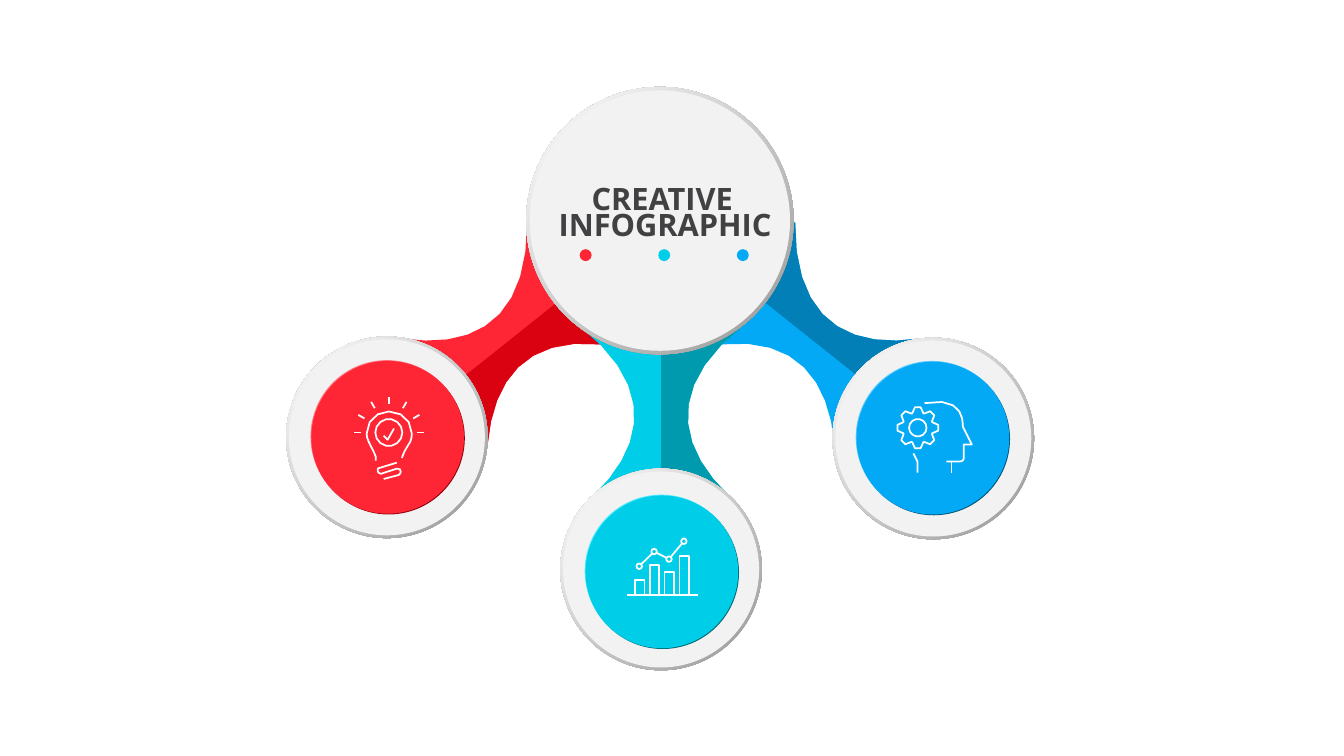
from dataclasses import dataclass
from itertools import pairwise
from math import cos, dist, radians, sin

from pptx import Presentation
from pptx.dml.color import RGBColor
from pptx.enum.shapes import MSO_SHAPE as Preset
from pptx.enum.text import MSO_AUTO_SIZE as AutoSize, PP_ALIGN as Align
from pptx.util import Cm, Pt


@dataclass(frozen=True)
class Palette:
    main: str
    shade: str
    rim_dark: str
    rim_light: str


@dataclass(frozen=True)
class Theme:
    red: Palette = Palette("FE2635", "DA0110", "91010B", "FE7D86")
    cyan: Palette = Palette("00CEE8", "009AAE", "006774", "58ECFF")
    blue: Palette = Palette("03A9F4", "027FB7", "01557A", "63CDFD")
    plate: str = "F2F2F2"
    bevel_dark: str = "979797"
    white: str = "FFFFFF"
    text: str = "414042"
    font: str = "Open Sans"
    title_size: Pt = Pt(22)
    icon_line: Pt = Pt(1.25)


THEME = Theme()
AXIS = 16.66


def color(value):
    return RGBColor.from_string(value)


def arc(center, radius, start=0, end=360, steps=14):
    angles = [radians(start + (end - start) * i / steps) for i in range(steps + 1)]
    return [(center[0] + radius * cos(a), center[1] + radius * sin(a)) for a in angles]


def trace(*parts, steps=3):
    points = []
    for part in parts:
        if len(part) == 2:
            points.append(part)
            continue
        x0, y0 = points[-1]
        x1, y1, x2, y2, x3, y3 = part
        for i in range(1, steps + 1):
            t = i / steps
            a, b, c, d = (1 - t) ** 3, 3 * t * (1 - t) ** 2, 3 * t * t * (1 - t), t ** 3
            points.append((a * x0 + b * x1 + c * x2 + d * x3,
                           a * y0 + b * y1 + c * y2 + d * y3))
    return points


def mirror(points):
    return [(2 * AXIS - x, y) for x, y in points]


def freeform(slide, contours, closed, origin=(0, 0)):
    builder = None
    for contour in contours:
        first, *rest = [(Cm(origin[0] + x), Cm(origin[1] + y)) for x, y in contour]
        if builder is None:
            builder = slide.shapes.build_freeform(*first)
        else:
            builder.move_to(*first)
        builder.add_line_segments(rest, close=closed)
    shape = builder.convert_to_shape()
    shape.shadow.inherit = False
    return shape


def add_area(slide, points, fill):
    shape = freeform(slide, [points], True)
    shape.fill.solid()
    shape.fill.fore_color.rgb = color(fill)
    shape.line.fill.background()


def add_icon(slide, origin, contours):
    shape = freeform(slide, contours, False, origin)
    shape.fill.background()
    shape.line.color.rgb = color(THEME.white)
    shape.line.width = THEME.icon_line


def add_circle(slide, center, diameter, fill=None):
    left, top = (Cm(value - diameter / 2) for value in center)
    shape = slide.shapes.add_shape(Preset.OVAL, left, top, Cm(diameter), Cm(diameter))
    shape.shadow.inherit = False
    shape.line.fill.background()
    if fill:
        shape.fill.solid()
        shape.fill.fore_color.rgb = color(fill)
    else:
        shape.fill.gradient()
        shape.fill.gradient_angle = 135
        for stop, value, position in zip(shape.fill.gradient_stops,
                                         (THEME.bevel_dark, THEME.white), (0, 1)):
            stop.color.rgb = color(value)
            stop.position = position


def add_plate(slide, center, diameter, rim):
    add_circle(slide, center, diameter)
    add_circle(slide, center, diameter - 2 * rim, THEME.plate)


def add_arm(slide, light_half, dark_half, palette):
    add_area(slide, light_half + dark_half, palette.main)
    add_area(slide, dark_half, palette.shade)


def add_disc(slide, center, palette):
    x, y = center
    for shift, fill in ((0.02, palette.rim_dark), (-0.02, palette.rim_light),
                        (0, palette.main)):
        add_circle(slide, (x + shift, y + shift), 3.85, fill)


def add_title_line(slide, text, center_x, top, width):
    box = slide.shapes.add_textbox(Cm(center_x - width / 2), Cm(top), Cm(width), Cm(0.94))
    frame = box.text_frame
    frame.margin_left = frame.margin_right = frame.margin_top = frame.margin_bottom = 0
    frame.word_wrap = False
    frame.auto_size = AutoSize.SHAPE_TO_FIT_TEXT
    paragraph = frame.paragraphs[0]
    paragraph.text = text
    paragraph.alignment = Align.CENTER
    font = paragraph.font
    font.name, font.size, font.bold = THEME.font, THEME.title_size, True
    font.color.rgb = color(THEME.text)


def bulb_icon():
    glass = trace((-0.33, 0.71), (-0.3, 0.61, -0.36, 0.53, -0.46, 0.33),
                  (-0.51, 0.23, -0.56, 0.13, -0.56, 0.03),
                  (-0.56, -0.3, -0.3, -0.53, 0, -0.53),
                  (0.33, -0.53, 0.58, -0.3, 0.58, 0.03),
                  (0.58, 0.13, 0.56, 0.23, 0.48, 0.33),
                  (0.38, 0.48, 0.36, 0.56, 0.33, 0.64))
    base = trace((0.2, 0.76), (-0.23, 0.89), (-0.28, 0.89, -0.28, 0.91, -0.28, 0.97),
                 (-0.28, 0.99, -0.25, 1.04, -0.2, 1.04), (0.2, 0.91),
                 (0.28, 0.9, 0.3, 0.94, 0.3, 0.99),
                 (0.3, 1.02, 0.28, 1.04, 0.25, 1.07), (-0.13, 1.17), steps=2)
    check = [(-0.13, 0.08), (-0.03, 0.18), (0.13, -0.1)]
    rays = zip(arc((0, 0), 0.71, 180, 360, 6), arc((0, 0), 0.89, 180, 360, 6))
    return [glass, base, check, arc((0, 0), 0.34), *rays]


def head_icon():
    face = trace((0.17, -0.62), (1.23, -0.83, 1.13, -0.04, 1.13, -0.04), (1.36, 0.42),
                 (1.16, 0.42), (1.16, 0.75), (1.16, 0.8, 1.13, 0.85, 1.05, 0.85),
                 (0.72, 0.85), steps=6)
    throat = [(0.85, 0.85), (0.85, 1.13)]
    nape = [(-0.01, 1.13), (-0.01, 0.85), (-0.11, 0.65)]
    tooth = ((-21, 0.39), (-8, 0.52), (8, 0.52), (21, 0.39))
    gear = [(radius * cos(radians(turn + angle)), radius * sin(radians(turn + angle)))
            for turn in range(0, 360, 45) for angle, radius in tooth]
    return [face, throat, nape, gear + gear[:1], arc((0, 0), 0.22)]


def chart_icon():
    pitch, bar_width, dot_radius = 0.375, 0.24, 0.07
    contours = [[(0, 0), (1.78, 0)]]
    for i, height in enumerate((0.38, 0.76, 0.58, 0.97)):
        left = 0.2 + i * pitch
        right = left + bar_width
        contours.append([(left, 0), (left, -height), (right, -height), (right, 0)])
    dots = [(0.31 + i * pitch, -y) for i, y in enumerate((0.72, 1.09, 0.9, 1.35))]
    contours += [arc(dot, dot_radius, steps=8) for dot in dots]
    for (x1, y1), (x2, y2) in pairwise(dots):
        trim = dot_radius / dist((x1, y1), (x2, y2))
        dx, dy = (x2 - x1) * trim, (y2 - y1) * trim
        contours.append([(x1 + dx, y1 + dy), (x2 - dx, y2 - dy)])
    return contours


def main():
    presentation = Presentation()
    presentation.slide_width, presentation.slide_height = Cm(33.87), Cm(19.05)
    slide = presentation.slides.add_slide(presentation.slide_layouts[6])

    upper = trace((14.58, 7.19), (13.28, 5.59), (13.31, 8.03, 11.99, 8.81, 10.13, 8.53),
                  (11.2, 9.88), steps=9)
    lower = trace((11.2, 9.88), (12.29, 11.2), (12.45, 9.37, 13.46, 8.23, 15.88, 8.81),
                  (14.58, 7.19), steps=9)
    stem = trace((AXIS, 8.2), (14.58, 8.2), (16.51, 9.7, 16.28, 11.23, 14.94, 12.5),
                 (AXIS, 12.5), steps=9)
    add_arm(slide, mirror(lower), mirror(upper), THEME.blue)
    add_arm(slide, upper, lower, THEME.red)
    add_arm(slide, stem, mirror(stem)[::-1], THEME.cyan)

    add_plate(slide, (16.63, 5.56), 6.74, 0.09)
    add_title_line(slide, "CREATIVE", 16.69, 4.52, 3.61)
    add_title_line(slide, "INFOGRAPHIC", 16.76, 5.18, 5.44)
    for i, palette in enumerate((THEME.red, THEME.cyan, THEME.blue)):
        add_circle(slide, (14.76 + 1.98 * i, 6.43), 0.3, palette.main)

    for plate, disc, palette, origin, icon in (
        ((9.75, 11.02), (9.77, 11.02), THEME.red, (9.8, 10.9), bulb_icon()),
        ((16.66, 14.35), (16.68, 14.41), THEME.cyan, (15.8, 14.99), chart_icon()),
        ((23.52, 11.05), (23.51, 11.04), THEME.blue, (23.13, 10.78), head_icon()),
    ):
        add_plate(slide, plate, 5.08, 0.07)
        add_disc(slide, disc, palette)
        add_icon(slide, origin, icon)

    presentation.save("out.pptx")


if __name__ == "__main__":
    main()
